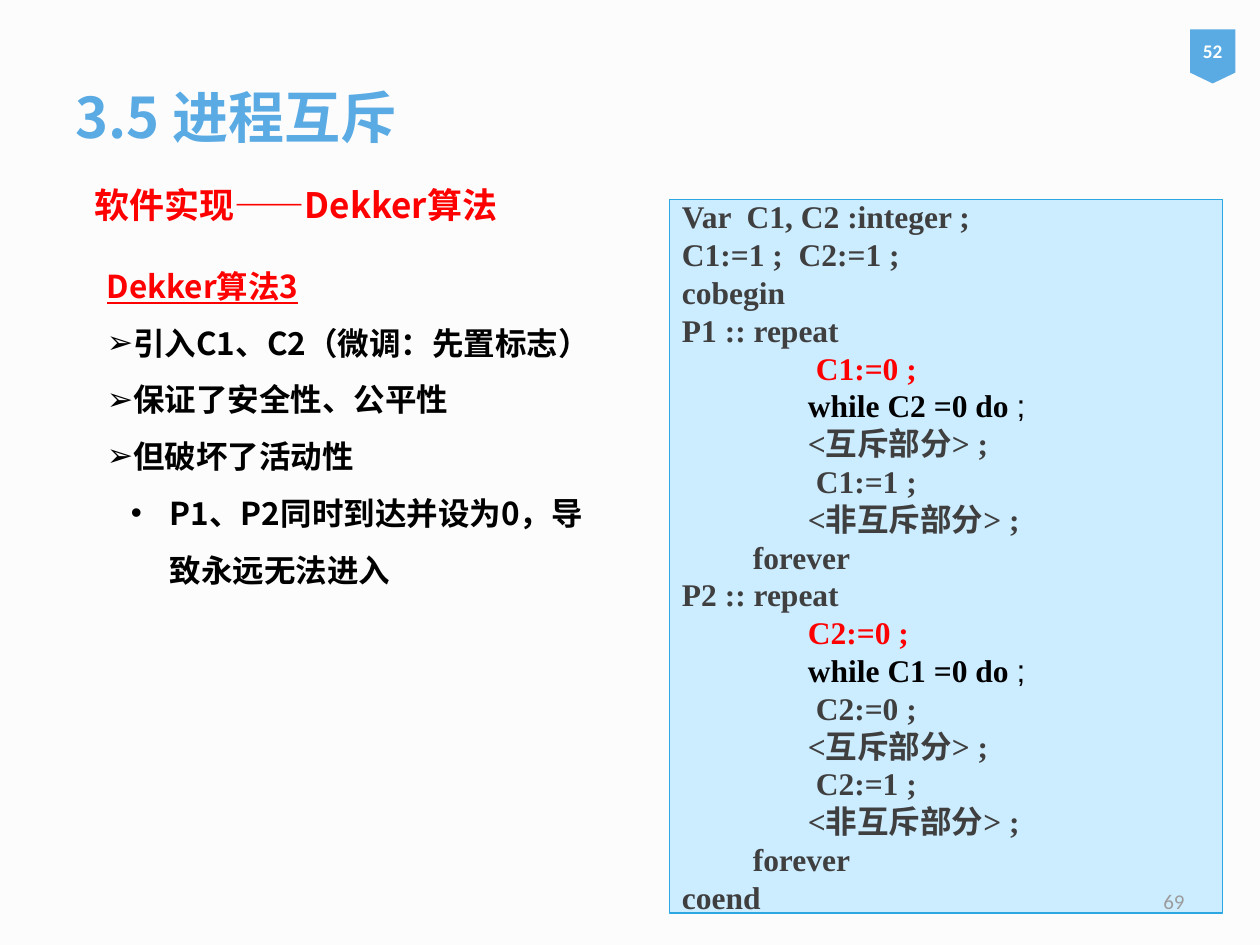
import pptx
import pptx.util
import pptx.dml.color
import pptx.enum.shapes
import pptx.enum.text
import pptx.oxml.ns
import lxml.etree

SANS, SERIF = "Noto Sans CJK SC", "Times New Roman"
BLUE, RED, BLACK, GREY = "5AAAE4", "FF0000", "000000", "3F3F3F"
ALIGN = pptx.enum.text.PP_ALIGN
ANCHOR = pptx.enum.text.MSO_ANCHOR
SHAPE = pptx.enum.shapes.MSO_SHAPE

PLAIN, SET_FLAG, WAIT = "plain", "set flag", "wait"
CODE = [
    ("Var  C1, C2 :integer ;", PLAIN),
    ("C1:=1 ;  C2:=1 ;", PLAIN),
    ("cobegin", PLAIN),
    ("P1 :: repeat", PLAIN),
    ("\t C1:=0 ;", SET_FLAG),
    ("\twhile C2 =0 do ", WAIT),
    ("\t<互斥部分> ;", PLAIN),
    ("\t C1:=1 ;", PLAIN),
    ("\t<非互斥部分> ;\t", PLAIN),
    ("         forever", PLAIN),
    ("P2 :: repeat", PLAIN),
    ("\tC2:=0 ;", SET_FLAG),
    ("\twhile C1 =0 do ", WAIT),
    ("\t C2:=0 ;", PLAIN),
    ("\t<互斥部分> ;", PLAIN),
    ("\t C2:=1 ;", PLAIN),
    ("\t<非互斥部分> ;\t", PLAIN),
    ("         forever", PLAIN),
    ("coend", PLAIN),
]
POINTS = [
    ("引入C1、C2（微调：先置标志）", "➢"),
    ("保证了安全性、公平性", "➢"),
    ("但破坏了活动性", "➢"),
    ("P1、P2同时到达并设为0，导致永远无法进入", "•"),
]


def color(value):
    return pptx.dml.color.RGBColor.from_string(value)


def area(presentation, left, top, width, height):
    """Turn percentages of the slide into a box."""
    across, down = presentation.slide_width / 100, presentation.slide_height / 100
    return int(left * across), int(top * down), int(width * across), int(height * down)


def style(run, size, name, fill, bold=True):
    font = run.font
    font.size, font.name, font.bold = pptx.util.Pt(size), name, bold
    font.color.rgb = color(fill)
    # Chinese characters always use the sans face
    east_asian = lxml.etree.Element(pptx.oxml.ns.qn("a:ea"), typeface=SANS)
    font._element.find(pptx.oxml.ns.qn("a:latin")).addnext(east_asian)


def add_run(paragraph, text, *look):
    run = paragraph.add_run()
    run.text = text
    style(run, *look)
    return run


def add_bullet(paragraph, character, left=0, hanging=0):
    properties = paragraph._p.get_or_add_pPr()
    properties.set("marL", str(pptx.util.Inches(left)))
    properties.set("indent", str(-pptx.util.Inches(hanging)))
    for tag, attribute, value in (("a:buFont", "typeface", "Arial"),
                                  ("a:buChar", "char", character)):
        element = lxml.etree.SubElement(properties, pptx.oxml.ns.qn(tag))
        element.set(attribute, value)


def add_tab_stop(paragraph, position):
    properties = paragraph._p.get_or_add_pPr()
    tab_list = lxml.etree.SubElement(properties, pptx.oxml.ns.qn("a:tabLst"))
    lxml.etree.SubElement(tab_list, pptx.oxml.ns.qn("a:tab"),
                          pos=str(pptx.util.Inches(position)), algn="l")


def add_text_box(slide, box, anchor=ANCHOR.TOP):
    text_frame = slide.shapes.add_textbox(*box).text_frame
    text_frame.word_wrap = True
    text_frame.vertical_anchor = anchor
    return text_frame


def add_panel(slide, kind, box, fill):
    shape = slide.shapes.add_shape(kind, *box)
    shape.shadow.inherit = False
    shape.fill.solid()
    shape.fill.fore_color.rgb = color(fill)
    shape.line.fill.background()
    shape.text_frame.vertical_anchor = ANCHOR.MIDDLE
    return shape


def add_title(slide, box):
    paragraph = add_text_box(slide, box, ANCHOR.MIDDLE).paragraphs[0]
    add_run(paragraph, "3.5 进程互斥", 32, SANS, BLUE)


def add_subtitle(slide, box):
    paragraph = add_text_box(slide, box).paragraphs[0]
    paragraph.line_spacing = 1.5
    add_run(paragraph, "软件实现——Dekker算法", 20, SANS, RED)


def add_page_tag(slide, box):
    shape = add_panel(slide, SHAPE.FLOWCHART_OFFPAGE_CONNECTOR, box, BLUE)
    text_frame = shape.text_frame
    text_frame.margin_left = text_frame.margin_right = 0
    text_frame.margin_top = text_frame.margin_bottom = 0
    paragraph = text_frame.paragraphs[0]
    paragraph.alignment = ALIGN.CENTER
    add_run(paragraph, "52", 11, "Calibri", "FFFFFF")


def add_code(slide, box):
    panel = add_panel(slide, SHAPE.RECTANGLE, box, "CCECFF")
    panel.line.color.rgb = color("2DA7E1")
    panel.line.width = pptx.util.Pt(0.75)
    text_frame = panel.text_frame
    line_color = {PLAIN: GREY, SET_FLAG: RED, WAIT: BLACK}
    for number, (text, role) in enumerate(CODE):
        paragraph = text_frame.add_paragraph() if number else text_frame.paragraphs[0]
        add_tab_stop(paragraph, 1)
        paragraph.alignment = ALIGN.LEFT
        paragraph.line_spacing = pptx.util.Pt(21.6)
        add_run(paragraph, text, 18, SERIF, line_color[role])
        if role == WAIT:
            add_run(paragraph, ";", 18, "Arial", BLACK, False)


def add_points(slide, box):
    text_frame = add_text_box(slide, box)
    heading = text_frame.paragraphs[0]
    heading.line_spacing = 1.5
    add_run(heading, "Dekker算法3", 18, SANS, RED).font.underline = True
    for text, bullet in POINTS:
        paragraph = text_frame.add_paragraph()
        if bullet == "•":
            paragraph.level = 1
            add_bullet(paragraph, bullet, 0.5, 0.31)
        else:
            add_bullet(paragraph, bullet)
        paragraph.line_spacing = 1.5
        add_run(paragraph, text, 18, SANS, BLACK)


def add_slide_number(slide, box):
    paragraph = add_text_box(slide, box, ANCHOR.MIDDLE).paragraphs[0]
    paragraph.alignment = ALIGN.RIGHT
    add_run(paragraph, "69", 12, "Calibri", "9C9C9C", False)


def main():
    presentation = pptx.Presentation()
    presentation.slide_width = pptx.util.Inches(10)
    presentation.slide_height = pptx.util.Inches(7.5)
    slide = presentation.slides.add_slide(presentation.slide_layouts[6])
    slide.background.fill.solid()
    slide.background.fill.fore_color.rgb = color("FCFCFC")

    # Heading and page tag
    add_title(slide, area(presentation, 5, 4, 90, 16.67))
    add_page_tag(slide, area(presentation, 94.45, 3.1, 3.6, 5.73))
    # Algorithm listing beside its explanation
    add_code(slide, area(presentation, 53.14, 21.13, 43.9, 75.5))
    add_points(slide, area(presentation, 7.5, 25.6, 42.2, 36.93))
    add_subtitle(slide, area(presentation, 6.5, 16.53, 87.4, 10))
    # Footer
    add_slide_number(slide, area(presentation, 71.7, 92.67, 23.3, 5.33))
    presentation.save("out.pptx")


if __name__ == "__main__":
    main()
